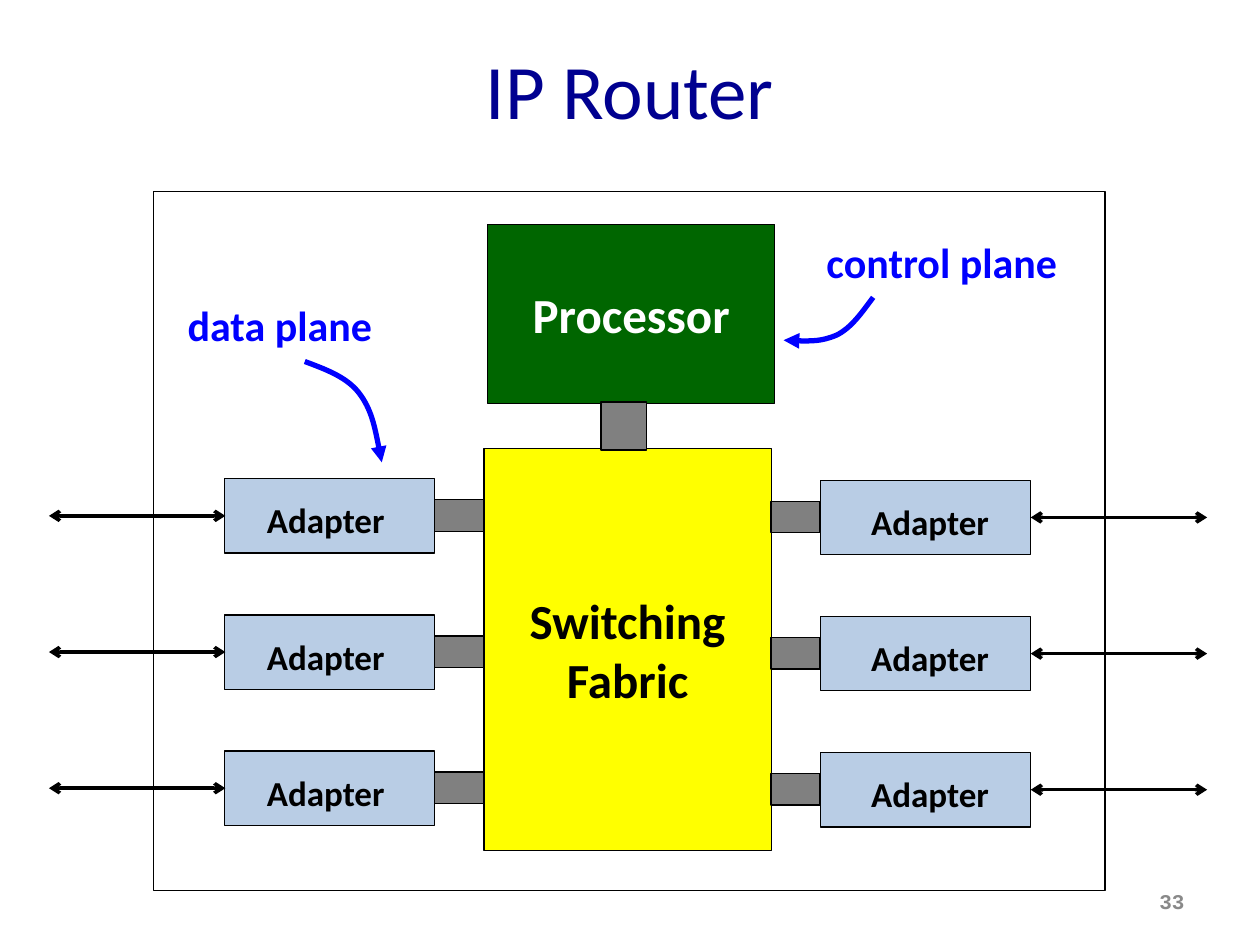
from lxml.etree import SubElement
from pptx import Presentation
from pptx.dml.color import RGBColor
from pptx.enum.shapes import MSO_CONNECTOR as Connector, MSO_SHAPE as Shape
from pptx.enum.text import MSO_ANCHOR as Anchor, MSO_AUTO_SIZE as AutoSize, PP_ALIGN as Align
from pptx.oxml.ns import qn
from pptx.util import Pt

TITLE = "IP Router"
BLOCKS = [
    ("Switching\nFabric", (276.5, 256.3, 164.2, 229.7), "fabric", "ink"),
    ("Processor", (278.6, 128.2, 164.2, 102.2), "processor", "paper"),
    ("", (343.4, 229.7, 25.9, 27.4), "link", "ink"),
]
ADAPTER = "Adapter"
ADAPTER_ROWS = 3
SIDES = [
    {"top": 273.6, "adapter": 128.2, "link": 248.4, "label": 145.4, "arrow": (128.8, 28)},
    {"top": 274.5, "adapter": 468.7, "link": 440.6, "label": 490.7, "arrow": (589, 689.8)},
]
FRAME = (87.8, 109.4, 543.6, 399.6)
PLANES = [
    ("data plane", (99.4, 167.8, 121, 36.7),
     [(174.2, 206.6), (185.8, 211), (198, 215.3), (205.2, 224.6),
      (212.4, 234), (215.3, 249.1), (218.2, 264.2)]),
    ("control plane", (464.4, 131.8, 147.6, 36.7),
     [(499, 169.9), (492.5, 178.6), (486.7, 187.2), (478.1, 191.5),
      (469.4, 195.1), (458.6, 195.1), (447.8, 194.4)]),
]
PAGE = ("33", (516.2, 500.4, 167.8, 28.8))

ROW_PITCH = 77.8
ADAPTER_SIZE = (120.2, 42.5)
LINK_SIZE = (28.1, 18)
LABEL_SIZE = (83.5, 31.7)
LINK_DROP, LABEL_DROP, ARROW_DROP = 12, 8, 21.2

THEME = {
    "colours": {
        "title": "000090", "ink": "000000", "paper": "FFFFFF", "fabric": "FFFF00",
        "processor": "006600", "link": "808080", "adapter": "B9CDE5",
        "plane": "0000FF", "page": "898989",
    },
    "sizes": {"title": 44, "block": 28, "plane": 24, "adapter": 20, "page": 12},
    "lines": {"outline": 0.75, "arrow": 2, "curve": 3},
    "fonts": {"main": "Calibri", "page": "Courier New"},
}


def colour(name):
    return RGBColor.from_string(THEME["colours"][name])


def points(values):
    return [Pt(value) for value in values]


def set_text(shape, text, size, ink, align=Align.CENTER, bold=True, font="main", **frame_format):
    frame = shape.text_frame
    frame.text = text
    for name, value in frame_format.items():
        setattr(frame, name, value)
    font_format = {"name": THEME["fonts"][font], "size": Pt(THEME["sizes"][size]), "bold": bold}
    for paragraph in frame.paragraphs:
        paragraph.alignment = align
        for name, value in font_format.items():
            setattr(paragraph.font, name, value)
        paragraph.font.color.rgb = colour(ink)


def set_line(shape, ink, width, **ends):
    shape.line.color.rgb = colour(ink)
    shape.line.width = Pt(THEME["lines"][width])
    line = shape._element.spPr.find(qn("a:ln"))
    for end, kind in ends.items():
        SubElement(line, qn(f"a:{end}"), type=kind)


def add_box(slide, place, fill=None):
    shape = slide.shapes.add_shape(Shape.RECTANGLE, *points(place))
    shape.shadow.inherit = False
    if fill:
        shape.fill.solid()
        shape.fill.fore_color.rgb = colour(fill)
    else:
        shape.fill.background()
    set_line(shape, "ink", "outline")
    return shape


def add_label(slide, text, place, size, ink, align):
    label = slide.shapes.add_textbox(*points(place))
    set_text(label, text, size, ink, align, word_wrap=False, auto_size=AutoSize.SHAPE_TO_FIT_TEXT)


def add_adapter(slide, side, row):
    top = side["top"] + row * ROW_PITCH
    add_box(slide, (side["adapter"], top, *ADAPTER_SIZE), "adapter")
    add_box(slide, (side["link"], top + LINK_DROP, *LINK_SIZE), "link")
    add_label(slide, ADAPTER, (side["label"], top + LABEL_DROP, *LABEL_SIZE),
              "adapter", "ink", Align.LEFT)
    start, end = side["arrow"]
    level = top + ARROW_DROP
    arrow = slide.shapes.add_connector(Connector.STRAIGHT, *points((start, level, end, level)))
    set_line(arrow, "ink", "arrow", headEnd="arrow", tailEnd="arrow")
    SubElement(arrow._element.spPr, qn("a:effectLst"))


def add_curve(slide, controls):
    start, *rest = [points(control) for control in controls]
    builder = slide.shapes.build_freeform(*start)
    builder.add_line_segments(rest, close=False)
    curve = builder.convert_to_shape()
    curve.shadow.inherit = False
    curve.fill.background()
    outline = next(curve._element.iter(qn("a:path")))
    segments = outline.findall(qn("a:lnTo"))
    for index in range(0, len(segments), 3):
        bezier = SubElement(outline, qn("a:cubicBezTo"))
        for segment in segments[index:index + 3]:
            bezier.append(segment[0])
            outline.remove(segment)
    set_line(curve, "plane", "curve", tailEnd="triangle")


def main():
    presentation = Presentation()
    presentation.slide_width, presentation.slide_height = Pt(720), Pt(540)
    slide = presentation.slides.add_slide(presentation.slide_layouts[5])

    title = slide.shapes.title
    title.left, title.top, title.width, title.height = points((36, 5.8, 648, 90))
    set_text(title, TITLE, "title", "title", bold=False, vertical_anchor=Anchor.MIDDLE)

    for text, place, fill, ink in BLOCKS:
        block = add_box(slide, place, fill)
        if text:
            set_text(block, text, "block", ink, word_wrap=False, vertical_anchor=Anchor.MIDDLE)
    for side in SIDES:
        for row in range(ADAPTER_ROWS):
            add_adapter(slide, side, row)
    add_box(slide, FRAME)
    for text, place, controls in PLANES:
        add_curve(slide, controls)
        add_label(slide, text, place, "plane", "plane", Align.CENTER)

    number, place = PAGE
    page = slide.shapes.add_textbox(*points(place))
    set_text(page, number, "page", "page", Align.RIGHT, font="page",
             word_wrap=True, vertical_anchor=Anchor.MIDDLE)
    presentation.save("out.pptx")


if __name__ == "__main__":
    main()
